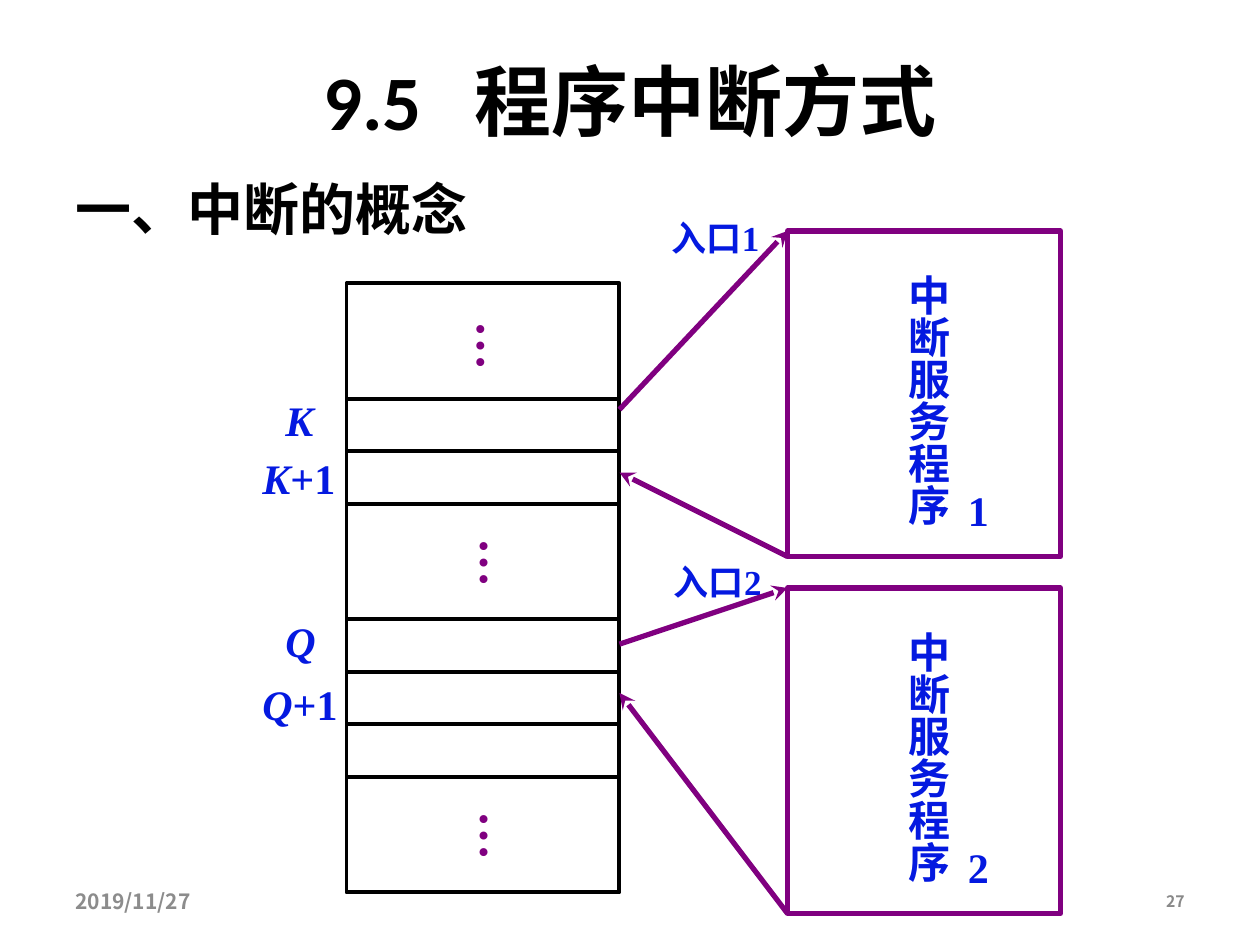
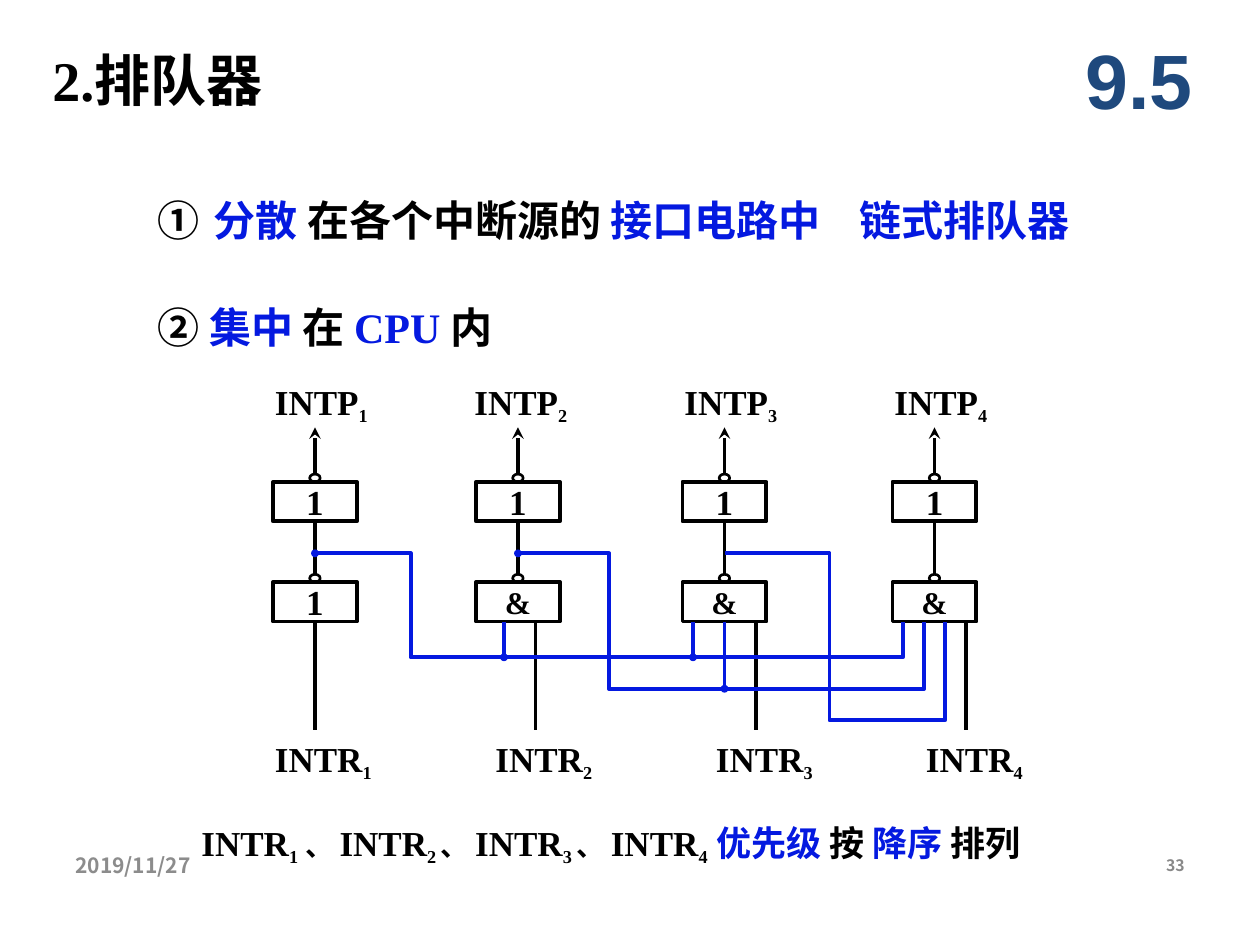
from lxml import etree
from pptx import Presentation
from pptx.dml.color import RGBColor
from pptx.enum.shapes import MSO_CONNECTOR, MSO_SHAPE
from pptx.enum.text import MSO_ANCHOR, PP_ALIGN
from pptx.oxml.ns import qn
from pptx.util import Inches, Pt

RECTANGLE, OVAL = MSO_SHAPE.RECTANGLE, MSO_SHAPE.OVAL
STRAIGHT = MSO_CONNECTOR.STRAIGHT
LEFT, CENTER, RIGHT = PP_ALIGN.LEFT, PP_ALIGN.CENTER, PP_ALIGN.RIGHT
TOP, MIDDLE = MSO_ANCHOR.TOP, MSO_ANCHOR.MIDDLE

hex_color = RGBColor.from_string
BLACK, BLUE, PURPLE, NAVY = "000000", "0419E0", "800080", "1F497D"
DATE_GRAY, NUMBER_GRAY = "8C8C8C", "898989"
SERIF, CJK = "Times New Roman", "Noto Sans CJK SC"

# The slide is a grid of 120 columns by 90 rows; all lengths count its cells.
CELL = Inches(10) // 120
IN_BLUE = {"color": BLUE}
SUBSCRIPT = {"size": 18, "baseline": -25000}
ARROW = {"type": "stealth"}
DOT = {"type": "oval", "w": "sm", "len": "sm"}


def add_box(slide, box, runs=(), line=None, width=2.25, kind=RECTANGLE, align=LEFT,
            anchor=TOP, side_margin=0.1, wrap=True, vertical=False, **base):
    """Add an outlined shape if line is given, else a text box; runs are (text, format)."""
    place = [round(length * CELL) for length in box]
    if line:
        shape = slide.shapes.add_shape(kind, *place)
        shape.shadow.inherit = False
        shape.fill.background()
        shape.line.color.rgb = hex_color(line)
        shape.line.width = Pt(width)
    else:
        shape = slide.shapes.add_textbox(*place)
    if not runs:
        return
    frame = shape.text_frame
    settings = {"word_wrap": wrap, "vertical_anchor": anchor,
                "margin_left": Inches(side_margin), "margin_right": Inches(side_margin)}
    if line:
        settings.update(margin_top=0, margin_bottom=0)
    for name, value in settings.items():
        setattr(frame, name, value)
    if vertical:
        frame._txBody.bodyPr.set("vert", "eaVert")
    paragraph = frame.paragraphs[0]
    paragraph.alignment = align
    for text, changes in runs:
        style = {"size": 24, "name": SERIF, "color": BLACK, "bold": True,
                 "italic": False, "baseline": 0} | base | changes
        run = paragraph.add_run()
        run.text = text
        run.font.color.rgb = hex_color(style.pop("color"))
        properties = run._r.get_or_add_rPr()
        baseline = style.pop("baseline")
        if baseline:
            properties.set("baseline", str(baseline))
        style["size"] = Pt(style["size"])
        for name, value in style.items():
            setattr(run.font, name, value)
        east_asian = etree.Element(qn("a:ea"), typeface=CJK)
        properties.find(qn("a:latin")).addnext(east_asian)


def add_path(slide, points, color=BLACK, width=2.25, head=None, tail=None):
    """Add a connector through two points, or an open outline through more."""
    points = [(round(x * CELL), round(y * CELL)) for x, y in points]
    if len(points) == 2:
        shape = slide.shapes.add_connector(STRAIGHT, *points[0], *points[1])
    else:
        builder = slide.shapes.build_freeform(*points[0])
        builder.add_line_segments(points[1:], close=False)
        shape = builder.convert_to_shape()
        shape.fill.background()
    shape.line.color.rgb = hex_color(color)
    shape.line.width = Pt(width)
    outline = shape._element.spPr.find(qn("a:ln"))
    for tag, end in (("a:headEnd", head), ("a:tailEnd", tail)):
        if end:
            etree.SubElement(outline, qn(tag), end)
    etree.SubElement(shape._element.spPr, qn("a:effectLst"))


presentation = Presentation()
presentation.slide_width, presentation.slide_height = 120 * CELL, 90 * CELL
blank = presentation.slide_layouts[6]
concept = presentation.slides.add_slide(blank)
queue = presentation.slides.add_slide(blank)

# Footers
for slide, top, number in ((concept, 83.4, "27"), (queue, 80, "33")):
    add_box(slide, (6, top, 28, 4.8), [("2019/11/27", {})], anchor=MIDDLE,
            name=CJK, size=12, color=DATE_GRAY)
    add_box(slide, (86, top, 28, 4.8), [(number, {})], anchor=MIDDLE, align=RIGHT,
            name=CJK, size=9, color=NUMBER_GRAY)

# Slide 1: the concept of an interrupt
add_box(concept, (9, 2, 102, 15), [("9.5", {}), ("　", {"size": 30}), ("程序中断方式", {})],
        align=CENTER, anchor=MIDDLE, name="Calibri", size=44)
add_box(concept, (6, 16, 48.4, 7.6), [("一、中断的概念", {})], size=32)

MEMORY_LEFT, MEMORY_WIDTH = 33, 26
MEMORY_RIGHT = MEMORY_LEFT + MEMORY_WIDTH
row_top = 27
for row_height in (11, 5, 5, 11, 5, 5, 5, 11):
    add_box(concept, (MEMORY_LEFT, row_top, MEMORY_WIDTH, row_height), line=BLACK)
    row_top += row_height

for left, top in ((42.7, 29.4), (43, 50.1), (43, 76.1)):
    add_box(concept, (left, top, 8, 5.9), [("…", {})], wrap=False, vertical=True,
            size=28, color=PURPLE)

for address, top, next_top in (("K", 37, 42.5), ("Q", 58, 64)):
    add_box(concept, (26, top, 5.2, 6), [(address, {"italic": True})], wrap=False, color=BLUE)
    add_box(concept, (23.8, next_top, 10.5, 6), [(address, {"italic": True}), ("+1", {})],
            color=BLUE)

PROGRAM_LEFT, PROGRAM_HEIGHT = 75, 31
# number, program top, call row, return row, entry label box
programs = (("1", 22, 39, 45, (62.8, 20, 10.8, 5.2)),
            ("2", 56, 61.35, 66, (63, 52.8, 14, 5.2)))
for number, top, call_row, return_row, entry_box in programs:
    bottom = top + PROGRAM_HEIGHT
    add_box(concept, (PROGRAM_LEFT, top, 26, PROGRAM_HEIGHT), line=PURPLE, width=3)
    add_box(concept, (84.1, top + 3, 7.3, 25), [("中断服务程序", {})], wrap=False,
            vertical=True, color=BLUE)
    add_box(concept, (91, top + 23.6, 4.4, 6), [(number, {})], wrap=False, color=BLUE)
    add_box(concept, entry_box, [("入口" + number, {})], size=20, color=BLUE)
    for points in (((MEMORY_RIGHT, call_row), (PROGRAM_LEFT, top)),
                   ((PROGRAM_LEFT, bottom), (MEMORY_RIGHT, return_row))):
        add_path(concept, points, PURPLE, 3, tail=ARROW)

# Slide 2: the priority queue circuit
add_box(queue, (5, 4, 51, 7), [("2.排队器", {})], anchor=MIDDLE, side_margin=0, size=32)
add_box(queue, (101, 2, 15, 11), [("9.5", {})], align=CENTER, anchor=MIDDLE,
        name="Arial", size=44, color=NAVY)
add_box(queue, (15, 16.6, 99, 7),
        [("①", {}), (" ", {"size": 36}), ("分散 ", IN_BLUE), ("在各个中断源的 ", {}),
         ("接口电路中", IN_BLUE), ("　", {"size": 22}), ("链式排队器", IN_BLUE)],
        anchor=MIDDLE, side_margin=0)
add_box(queue, (15, 27.6, 69, 7),
        [("② ", {}), ("集中 ", IN_BLUE), ("在 ", {}), ("CPU ", IN_BLUE), ("内", {})],
        anchor=MIDDLE, side_margin=0)

GATE_WIDTH, GATE_HEIGHT = 8, 3.75
UPPER_TOP, LOWER_TOP = 45.9, 55.45
UPPER_BOTTOM, LOWER_BOTTOM = UPPER_TOP + GATE_HEIGHT, LOWER_TOP + GATE_HEIGHT
BUBBLE_HEIGHT = 0.75
# number, gate centre, request line column, symbol of the lower gate and its size
sources = (("1", 30, 30, "1", 20), ("2", 49.33, 51, "&", 18),
           ("3", 69, 72, "&", 18), ("4", 89, 92, "&", 18))
for number, center, request, symbol, symbol_size in sources:
    for top, label, size in ((UPPER_TOP, "1", 20), (LOWER_TOP, symbol, symbol_size)):
        add_box(queue, (center - GATE_WIDTH / 2, top, GATE_WIDTH, GATE_HEIGHT), [(label, {})],
                line=BLACK, align=CENTER, anchor=MIDDLE, side_margin=0, size=size)
        add_box(queue, (center - 0.5, top - BUBBLE_HEIGHT, 1, BUBBLE_HEIGHT),
                line=BLACK, width=1.5, kind=OVAL)
    add_path(queue, ((center, UPPER_TOP - BUBBLE_HEIGHT), (center, 40.7)), tail=ARROW)
    add_path(queue, ((center, UPPER_BOTTOM), (center, LOWER_TOP - BUBBLE_HEIGHT)))
    add_path(queue, ((request, LOWER_BOTTOM), (request, 69.5)))
    for name, left, top, width in (("INTP", round(center) - 5, 35.6, 14),
                                   ("INTR", request - 5, 69.6, 20)):
        add_box(queue, (left, top, width, 5.2), [(name, {}), (number, SUBSCRIPT)], size=20)

BRANCH_ROW = 52.7
# start column, turn column, bus row, end column, start dot, tapped columns
buses = ((30, 39.1, 62.6, 86, DOT, (48, 66)),
         (49.33, 58, 65.6, 88, DOT, (69,)),
         (69, 79, 68.6, 90, None, ()))
for start, turn, bus_row, end, dot, taps in buses:
    add_path(queue, ((start, BRANCH_ROW), (turn, BRANCH_ROW), (turn, bus_row),
                     (end, bus_row), (end, LOWER_BOTTOM)), BLUE, head=dot)
    for tap in taps:
        add_path(queue, ((tap, LOWER_BOTTOM), (tap, bus_row)), BLUE, tail=DOT)

priority = []
for number, separator, size in (("1", " 、 ", 16), ("2 ", "、 ", 16), ("3 ", "、 ", 16),
                                ("4", " ", 20)):
    priority += [("INTR", {}), (number, SUBSCRIPT), (separator, {"size": size})]
priority += [("优先级 ", IN_BLUE), ("按 ", {}), ("降序 ", IN_BLUE), ("排列", {})]
add_box(queue, (18, 77.6, 93, 5.2), priority, size=20)

presentation.save("out.pptx")
